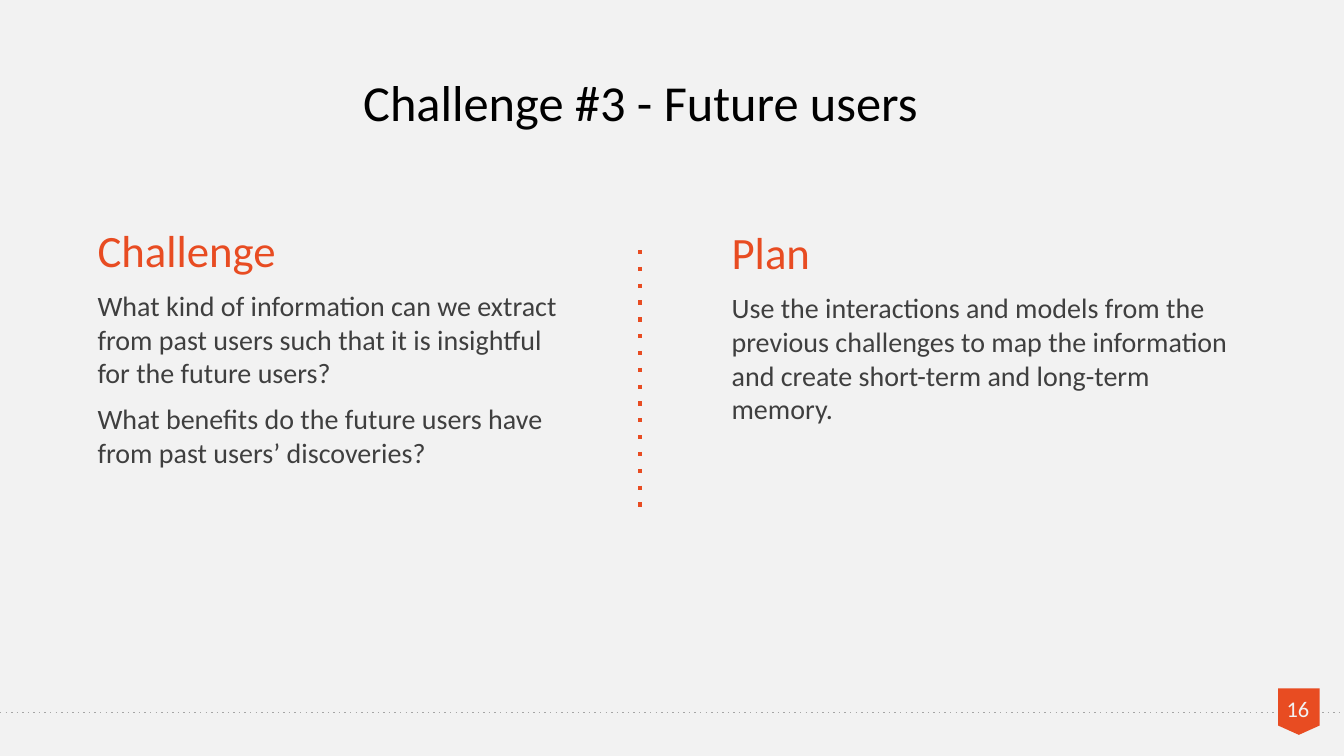
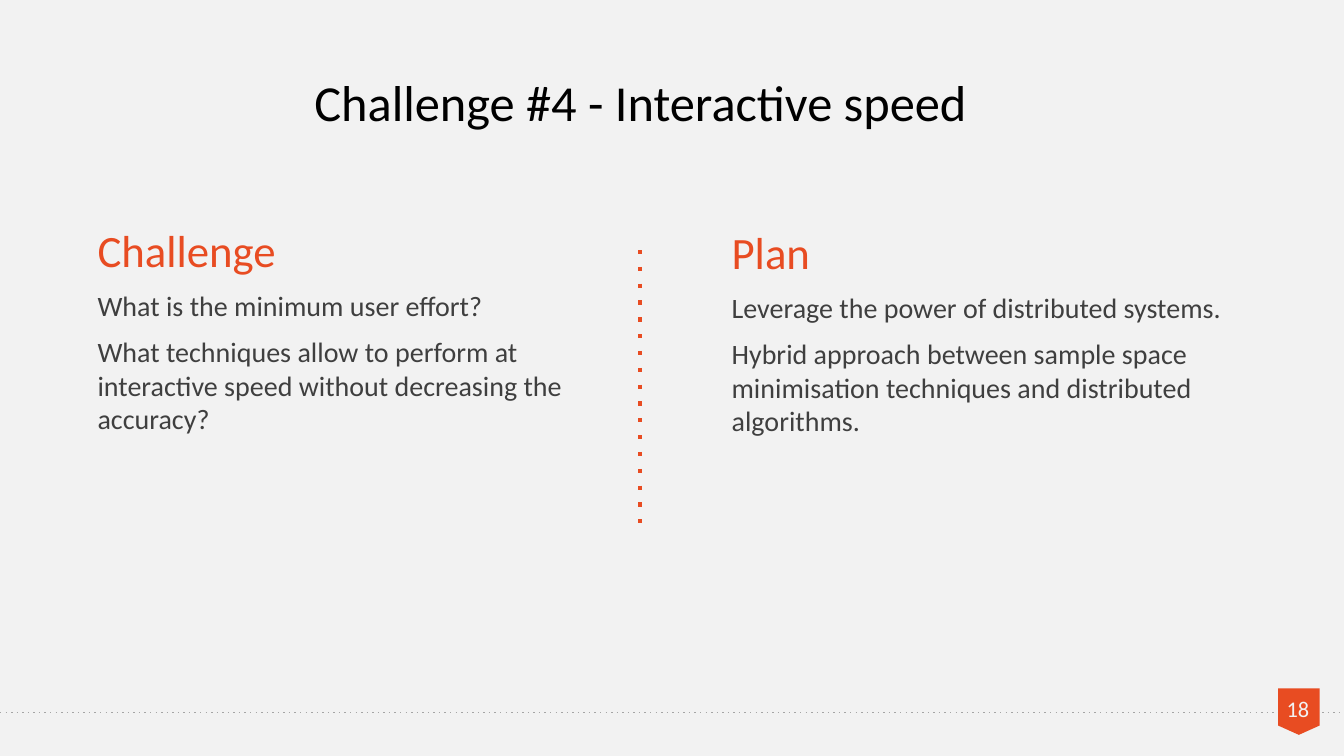
from pptx import Presentation
from pptx.dml.color import RGBColor
from pptx.enum import shapes, text
from pptx.oxml import ns, xmlchemy
from pptx.util import Pt

COLORS = {
    "background": "F2F2F2",
    "accent": "E84C22",
    "title": "000000",
    "body": "3F3F3F",
    "rule": "A5A5A5",
}
FONT = "Calibri"
LEFT_COLUMN = (62.6, 155.5, 347.8, 276.5)
RIGHT_COLUMN = (515.5, 157, 385.2, 273.6)
DIVIDER_X, DIVIDER_TOP = 457.2, 178.6
FOOTER_Y = 509

SLIDES = [
    {
        "title": "Challenge #3 - Future users",
        "number": "16",
        "divider_bottom": 367.9,
        "challenge": [
            "What kind of information can we extract from past users such that it is insightful for the future users?",
            "What benefits do the future users have from past users’ discoveries?",
        ],
        "plan": [
            "Use the interactions and models from the previous challenges to map the information and create short-term and long-term memory.",
        ],
    },
    {
        "title": "Challenge #4 - Interactive speed",
        "number": "18",
        "divider_bottom": 377.3,
        "challenge": [
            "What is the minimum user effort?",
            "What techniques allow to perform at interactive speed without decreasing the accuracy?",
        ],
        "plan": [
            "Leverage the power of distributed systems.",
            "Hybrid approach between sample space minimisation techniques and distributed algorithms.",
        ],
    },
]


def add_text(slide, box, lines, align=text.PP_ALIGN.LEFT, spacing=None):
    frame = slide.shapes.add_textbox(*[Pt(length) for length in box]).text_frame
    frame.word_wrap = True
    for index, (words, size, color, space_before) in enumerate(lines):
        paragraph = frame.add_paragraph() if index else frame.paragraphs[0]
        paragraph.text = words
        paragraph.alignment = align
        paragraph.line_spacing = spacing
        paragraph.space_before = Pt(space_before)
        paragraph.font.name = FONT
        paragraph.font.size = Pt(size)
        paragraph.font.color.rgb = RGBColor.from_string(COLORS[color])


def add_dotted_line(slide, start, end, color, width):
    connector = slide.shapes.add_connector(
        shapes.MSO_CONNECTOR.STRAIGHT, *[Pt(length) for length in start + end]
    )
    connector.line.color.rgb = RGBColor.from_string(COLORS[color])
    connector.line.width = Pt(width)
    properties = connector._element.spPr
    outline = properties.find(ns.qn("a:ln"))
    outline.append(xmlchemy.OxmlElement("a:prstDash"))
    outline.find(ns.qn("a:prstDash")).set("val", "dot")
    properties.append(xmlchemy.OxmlElement("a:effectLst"))


presentation = Presentation()
presentation.slide_width, presentation.slide_height = Pt(960), Pt(540)
background = presentation.slide_master.background.fill
background.solid()
background.fore_color.rgb = RGBColor.from_string(COLORS["background"])

for content in SLIDES:
    slide = presentation.slides.add_slide(presentation.slide_layouts[6])

    for heading, box, key in [
        ("Plan", RIGHT_COLUMN, "plan"),
        ("Challenge", LEFT_COLUMN, "challenge"),
    ]:
        lines = [(heading, 32, "accent", 0)]
        lines += [(words, 20, "body", 8.8) for words in content[key]]
        add_text(slide, box, lines)

    add_dotted_line(
        slide, (DIVIDER_X, DIVIDER_TOP), (DIVIDER_X, content["divider_bottom"]), "accent", 3
    )
    add_text(
        slide, (126.7, 25.9, 661.7, 66.2), [(content["title"], 36, "title", 0)],
        text.PP_ALIGN.CENTER, 1.5,
    )

    add_dotted_line(slide, (0, FOOTER_Y), (960, FOOTER_Y), "rule", 1)
    badge = slide.shapes.add_shape(
        shapes.MSO_SHAPE.FLOWCHART_OFFPAGE_CONNECTOR, Pt(913), Pt(491.8), Pt(29.5), Pt(33.1)
    )
    badge.shadow.inherit = False
    badge.fill.solid()
    badge.fill.fore_color.rgb = RGBColor.from_string(COLORS["accent"])
    badge.line.fill.background()
    add_text(
        slide, (905.8, 495.4, 42.5, 24.5), [(content["number"], 16, "background", 0)],
        text.PP_ALIGN.CENTER, 0.9,
    )

presentation.save("out.pptx")
